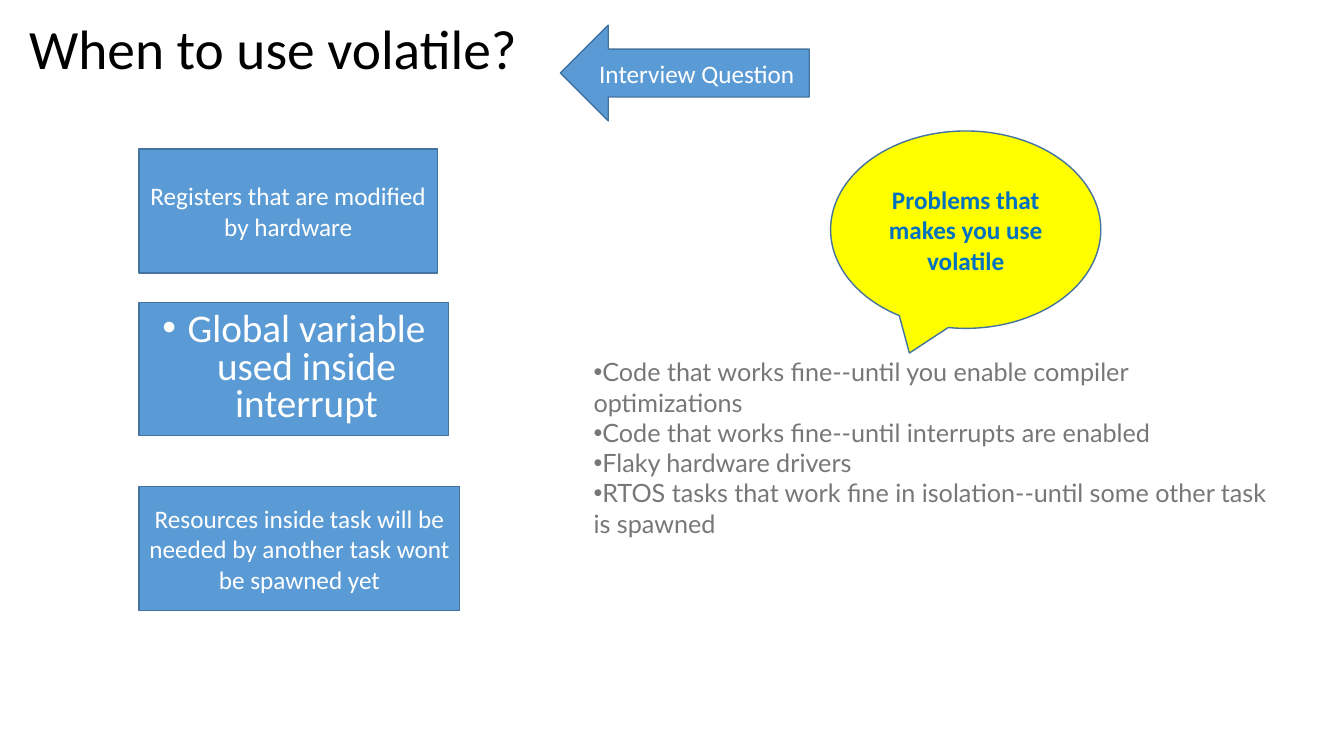
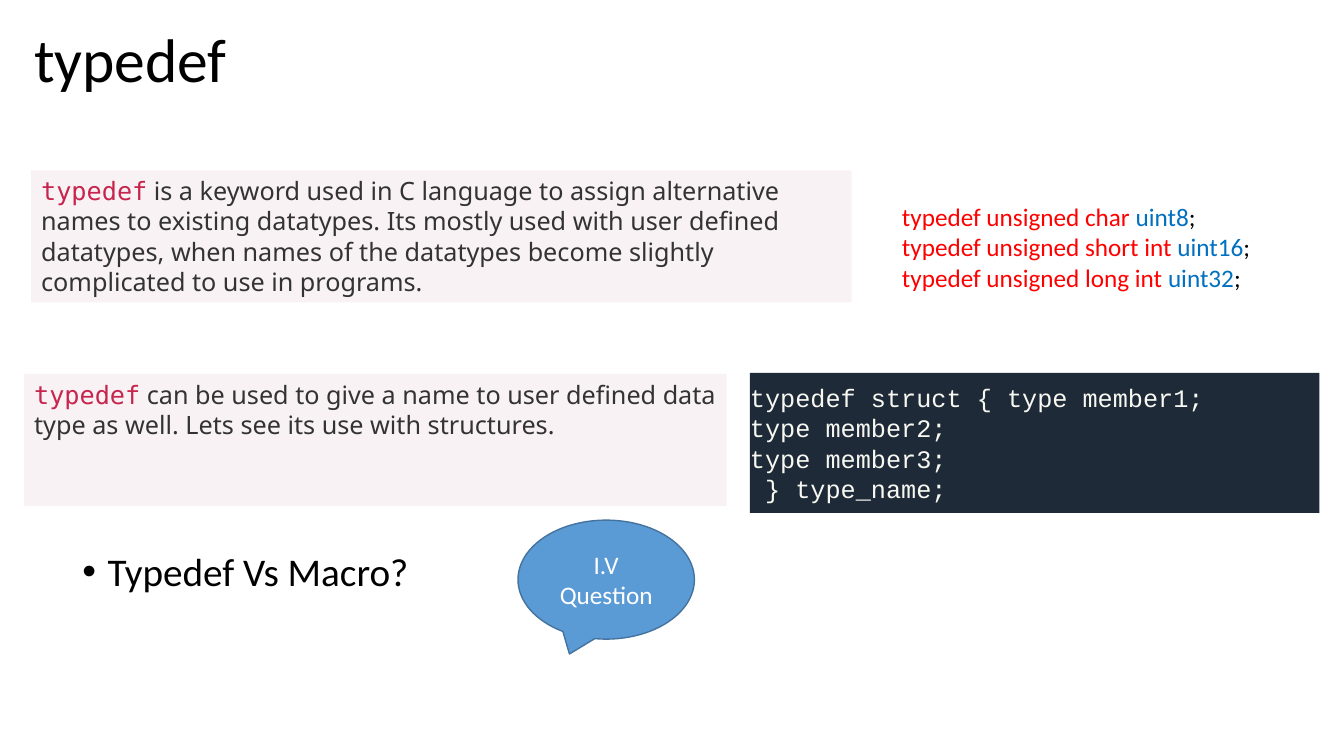
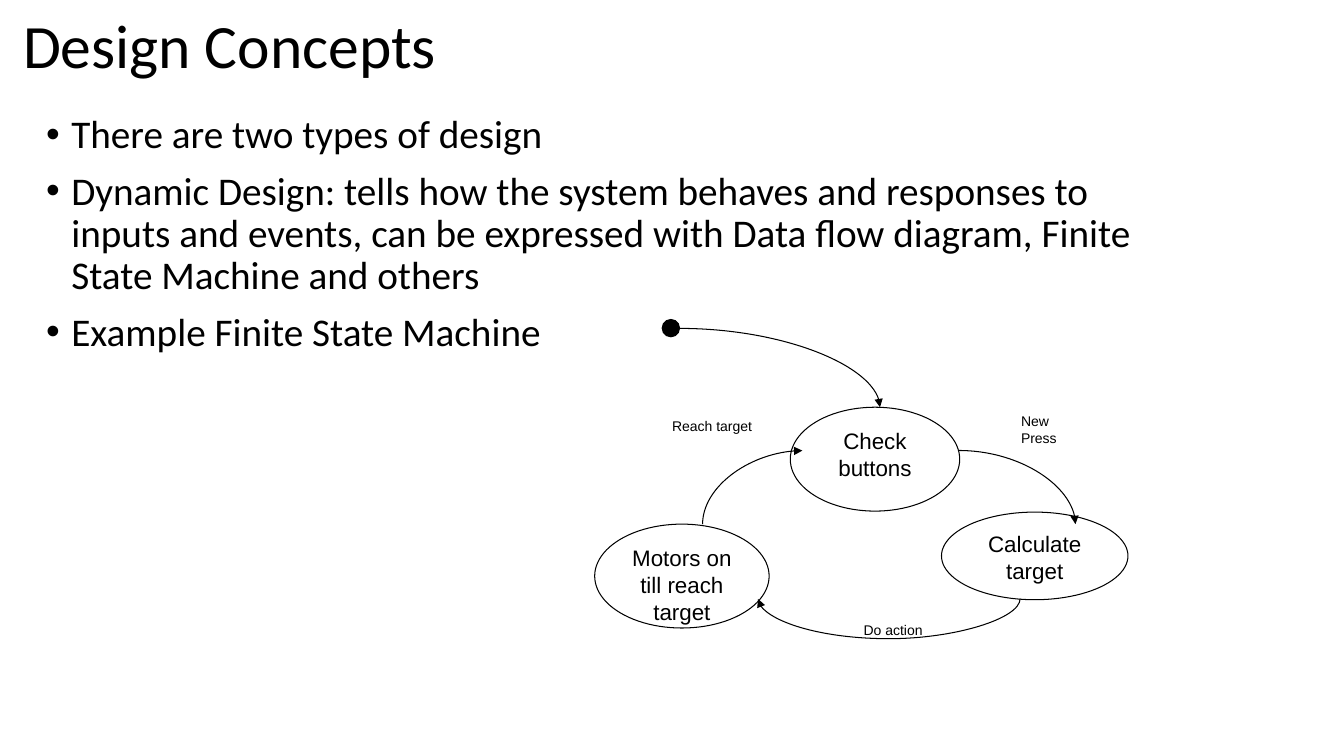
from dataclasses import dataclass, replace
from typing import NamedTuple

from lxml.etree import SubElement
from pptx import Presentation
from pptx.dml.color import RGBColor
from pptx.enum.shapes import MSO_CONNECTOR as Connector, MSO_SHAPE as Shape
from pptx.enum.text import MSO_ANCHOR as Anchor, PP_ALIGN as Align
from pptx.oxml.ns import qn
from pptx.util import Pt

COLORS = {
    "black": "000000", "white": "FFFFFF", "blue": "5B9BD5", "edge": "43739E",
    "yellow": "FFFF00", "azure": "0070C0", "red": "FF0000", "gray": "777778",
    "blush": "F9F2F4", "crimson": "C7254E", "ink": "333333",
    "navy": "1E2A37", "cream": "F8F8F2",
}


class Box(NamedTuple):
    left: float
    top: float
    width: float
    height: float

    def inside(self, left, top, width, height):
        return Box(self.left + left, self.top + top, width, height)

    def points(self):
        return [Pt(value) for value in self]


@dataclass(frozen=True)
class Style:
    size: float = 18
    font: str = "Calibri"
    color: str = "black"
    bold: bool = False
    align: Align = Align.LEFT
    anchor: Anchor = Anchor.TOP
    spacing: float = 1.0
    before: float = 0
    bullet: bool = False
    indent: float = 0
    side: float = 7.2
    edge: float = 3.6


TITLE = Style(size=44, anchor=Anchor.MIDDLE, spacing=0.9)
BODY = Style(size=28, spacing=0.9, before=10, bullet=True, indent=18)
CARD = Style(color="white", align=Align.CENTER, anchor=Anchor.MIDDLE)
BIG_CARD = replace(BODY, color="white", align=Align.CENTER, anchor=Anchor.MIDDLE, spacing=0.8)
CALLOUT = replace(CARD, color="azure", bold=True)
PROBLEMS = Style(font="Lato", color="gray", bullet=True)
NOTE = Style(font="Noto Sans", color="ink")
CODE = Style(font="Courier New", color="cream", anchor=Anchor.MIDDLE, side=0, edge=6.5)
STATE = Style(size=16, font="Arial", align=Align.CENTER)
LABEL = Style(size=10, font="Arial")


def rgb(name):
    return RGBColor.from_string(COLORS[name])


def set_font(font, style):
    font.name, font.size, font.bold = style.font, Pt(style.size), style.bold
    font.color.rgb = rgb(style.color)


def add_bullet(para, indent):
    properties = para._p.get_or_add_pPr()
    properties.set("marL", str(Pt(indent)))
    properties.set("indent", str(-Pt(indent)))
    SubElement(properties, qn("a:buFont")).set("typeface", "Arial")
    SubElement(properties, qn("a:buChar")).set("char", "•")


def write(shape, lines, style):
    frame = shape.text_frame
    frame.word_wrap = True
    frame.vertical_anchor = style.anchor
    frame.margin_left = frame.margin_right = Pt(style.side)
    frame.margin_top = frame.margin_bottom = Pt(style.edge)
    for index, line in enumerate(lines):
        para = frame.add_paragraph() if index else frame.paragraphs[0]
        para.alignment, para.line_spacing = style.align, style.spacing
        para.space_before = Pt(style.before)
        if style.bullet:
            add_bullet(para, style.indent)
        if isinstance(line, str):
            para.text = line
            set_font(para.font, style)
            continue
        for text, changes in line:
            span = para.add_run()
            span.text = text
            set_font(span.font, replace(style, **changes))


def add_text(page, box, lines, style):
    write(page.shapes.add_textbox(*box.points()), lines, style)


def add_figure(page, box, lines, style, kind=Shape.RECTANGLE, fill="blue", line="edge", weight=1):
    shape = page.shapes.add_shape(kind, *box.points())
    shape.shadow.inherit = False
    shape.fill.solid()
    shape.fill.fore_color.rgb = rgb(fill)
    if line:
        shape.line.color.rgb = rgb(line)
        shape.line.width = Pt(weight)
    else:
        shape.line.fill.background()
    write(shape, lines, style)


def add_curve(page, box, preset="curvedConnector2", turn=0, bend=None):
    left, top, width, height = box
    curve = page.shapes.add_connector(
        Connector.CURVE, *[Pt(value) for value in (left, top, left + width, top + height)])
    curve.line.color.rgb = rgb("black")
    curve.line.width = Pt(0.75)
    properties = curve._element.spPr
    properties.find(qn("a:xfrm")).set("rot", str(turn * 60000))
    geometry = properties.find(qn("a:prstGeom"))
    geometry.set("prst", preset)
    if bend is not None:
        guide = SubElement(geometry.find(qn("a:avLst")), qn("a:gd"))
        guide.set("name", "adj1")
        guide.set("fmla", f"val {round(bend * 100000)}")
    SubElement(properties.find(qn("a:ln")), qn("a:tailEnd")).set("type", "triangle")
    SubElement(properties, qn("a:effectLst"))


def add_page(deck, title, box, size=44):
    page = deck.slides.add_slide(deck.slide_layouts[6])
    add_text(page, box, [title], replace(TITLE, size=size))
    return page


def add_use_cases(page, box):
    cases = [
        (0, 88.5, "Registers that are modified by hardware", CARD),
        (109.5, 95, "Global variable used inside interrupt", BIG_CARD),
        (241.2, 88.5, "Resources inside task will be needed by another task wont be spawned yet", CARD),
    ]
    for index, (top, height, text, style) in enumerate(cases):
        add_figure(page, box.inside(0, top, 213 + 8 * index, height), [text], style)


def add_problems(page, box):
    add_figure(page, box.inside(176.4, 0, 193, 141), ["Problems that makes you use volatile"],
               CALLOUT, Shape.OVAL_CALLOUT, "yellow")
    add_text(page, box.inside(0, 157.7, box.width, 116.6), [
        "Code that works fine--until you enable compiler optimizations",
        "Code that works fine--until interrupts are enabled",
        "Flaky hardware drivers",
        "RTOS tasks that work fine in isolation--until some other task is spawned",
    ], PROBLEMS)


def add_note(page, box, text):
    keyword = ("typedef", {"font": "DejaVu Sans Mono", "color": "crimson"})
    add_figure(page, box, [[keyword, (text, {})]], NOTE, fill="blush", line=None)


def add_aliases(page, box):
    aliases = [("char", "uint8"), ("short int", "uint16"), ("long int", "uint32")]
    add_text(page, box, [
        [(f"typedef unsigned {kind} ", {"color": "red"}), (alias, {"color": "azure"}), (";", {})]
        for kind, alias in aliases
    ], Style())


def add_state_machine(page, box):
    labels = [
        ("Do action", (185, 212.6, 90, 49.7)),
        ("New Press", (297.4, 62.9, 62, 49.7)),
        ("Reach target", (48.2, 66.5, 75, 58.3)),
    ]
    states = [
        ("Check\vbuttons", (139.7, 62.9, 121, 74.2)),
        ("Calculate target", (247.7, 137.8, 133.2, 62.6)),
        ("Motors on till reach target", (0, 146.4, 124.6, 74.2)),
    ]
    for text, place in labels:
        add_figure(page, box.inside(*place), [text], LABEL, fill="white", line=None)
    for text, place in states:
        add_figure(page, box.inside(*place), [text], STATE, Shape.OVAL, "white", "black", 0.75)
    add_figure(page, box.inside(48.2, 0.2, 12.4, 12.4), [], STATE, Shape.OVAL, "black", "black", 0.75)
    add_curve(page, box.inside(60.5, 6.6, 143.3, 56.3))
    add_curve(page, box.inside(259.9, 93.8, 83.5, 52.6))
    add_curve(page, box.inside(210.2, 106.1, 0.1, 187.2), "curvedConnector3", 90, 252)
    add_curve(page, box.inside(86.4, 84.5, 52.6, 71.3), turn=270)


def build_volatile(deck):
    page = add_page(deck, "When to use volatile?", Box(13.7, 10.8, 843, 52.6), 39.6)
    add_figure(page, Box(400.3, 18, 177.8, 68.4), ["Interview Question"], CARD, Shape.LEFT_ARROW)
    add_use_cases(page, Box(99.4, 106.5, 229, 329.7))
    add_problems(page, Box(416.9, 93.6, 504, 274.3))


def build_typedef(deck):
    page = add_page(deck, "typedef", Box(17.3, 15.1, 864.7, 59))
    add_note(page, Box(22.3, 121.7, 586, 94.3),
             "\u00a0is a keyword used in C language to assign alternative names to existing datatypes. "
             "Its mostly used with user defined datatypes, when names of the datatypes become "
             "slightly complicated to use in programs.")
    add_aliases(page, Box(637.2, 140.4, 320, 72.7))
    add_note(page, Box(17.3, 267.1, 501.8, 94.3),
             "\u00a0can be used to give a name to user defined data type as well. "
             "Lets see its use with structures.")
    add_figure(page, Box(535.7, 266.4, 406.8, 100), [
        "typedef struct { type member1;", "type member2;", "type member3;", " } type_name;",
    ], CODE, fill="navy", line=None)
    add_text(page, Box(51.8, 391, 306.7, 110), ["Typedef Vs Macro?"], BODY)
    add_figure(page, Box(370, 371.5, 126, 85), ["I.V Question"], CARD, Shape.OVAL_CALLOUT)


def build_design(deck):
    page = add_page(deck, "Design Concepts", Box(9.4, 5.8, 809, 57.6))
    add_text(page, Box(25.9, 78.5, 828, 342.7), [
        "There are two types of design",
        "Dynamic Design: tells how the system behaves and responses to inputs and events, "
        "can be expressed with Data flow diagram, Finite State Machine and others",
        "Example Finite State Machine",
    ], BODY)
    add_state_machine(page, Box(424.8, 228, 381, 262.3))


def main():
    deck = Presentation()
    deck.slide_width, deck.slide_height = Pt(960), Pt(540)
    for build in (build_volatile, build_typedef, build_design):
        build(deck)
    deck.save("out.pptx")


if __name__ == "__main__":
    main()
